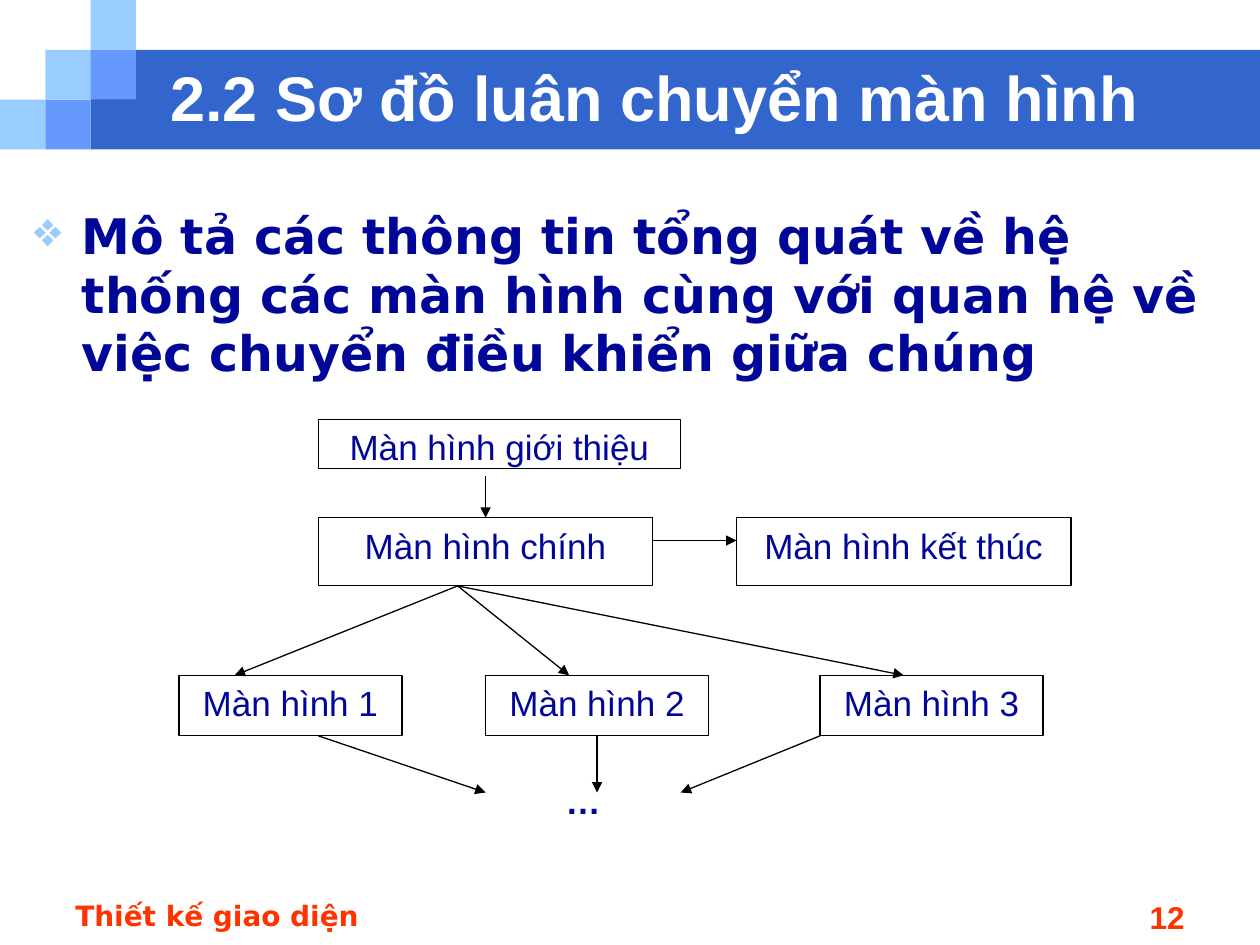
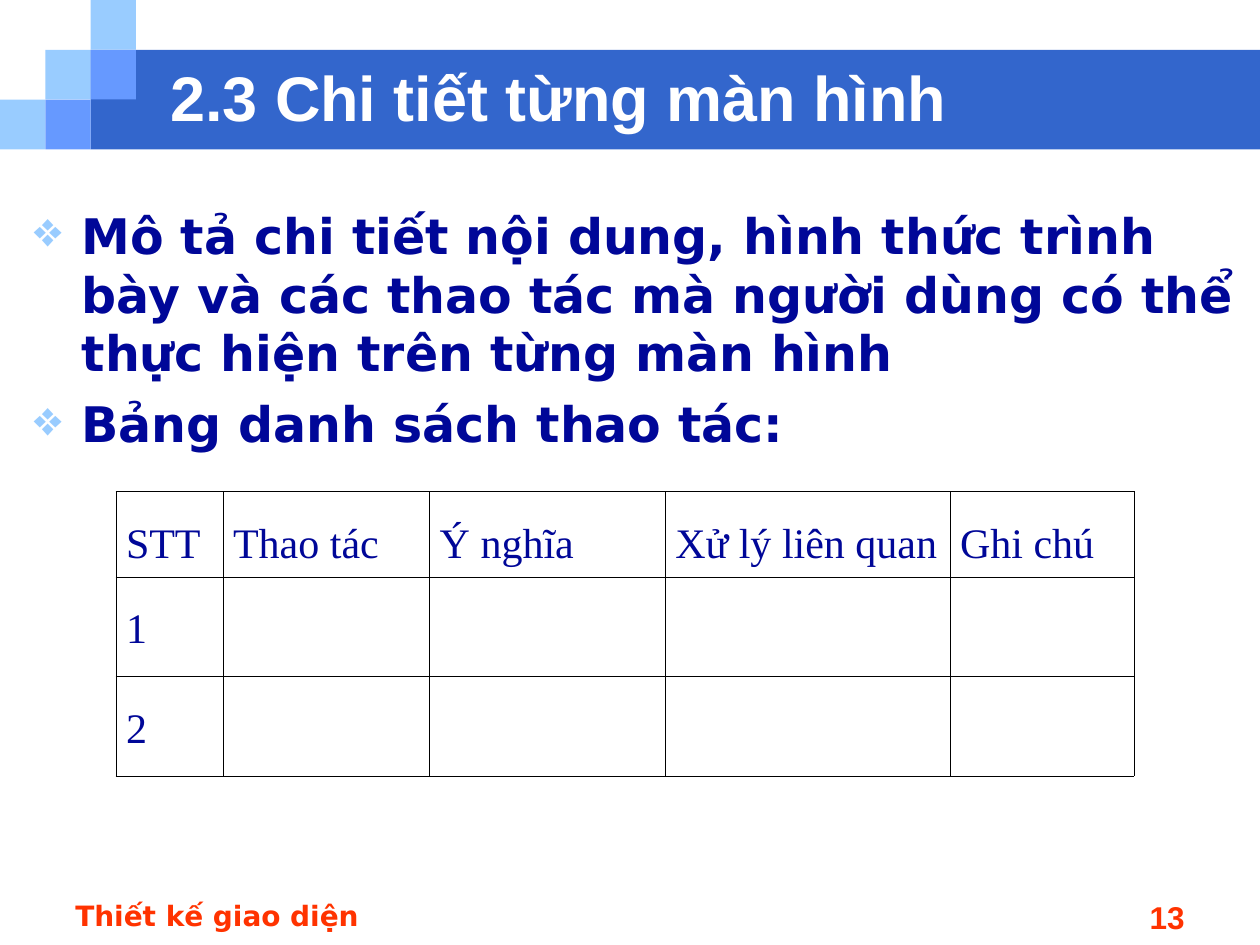
from lxml import etree
from pptx import Presentation
from pptx.dml.color import RGBColor
from pptx.enum.shapes import MSO_CONNECTOR, MSO_SHAPE
from pptx.enum.text import MSO_ANCHOR, MSO_AUTO_SIZE, PP_ALIGN
from pptx.oxml.ns import qn
from pptx.util import Inches, Pt

RECTANGLE, STRAIGHT = MSO_SHAPE.RECTANGLE, MSO_CONNECTOR.STRAIGHT
TOP, MIDDLE = MSO_ANCHOR.TOP, MSO_ANCHOR.MIDDLE
LEFT, CENTER, RIGHT, JUSTIFY = PP_ALIGN.LEFT, PP_ALIGN.CENTER, PP_ALIGN.RIGHT, PP_ALIGN.JUSTIFY
NO_AUTOFIT = MSO_AUTO_SIZE.NONE

COLORS = {
    "white": "FFFFFF", "black": "000000", "band": "3366CC", "light": "99CCFF",
    "overlap": "6699FF", "text": "000798", "footer": "FF3300",
}
HEADING_FONT, BODY_FONT, TABLE_FONT = "Arial", "DejaVu Sans", "Times New Roman"
WIDTH, HEIGHT = 10, 7.5

FOOTER = "Thiết kế giao diện"
FIRST_NUMBER = 12
SCREEN_FLOW = {
    "title": "2.2 Sơ đồ luân chuyển màn hình",
    "bullets": ["Mô tả các thông tin tổng quát về hệ thống các màn hình "
                "cùng với quan hệ về việc chuyển điều khiển giữa chúng"],
}
SCREEN_DETAIL = {
    "title": "2.3 Chi tiết từng màn hình",
    "bullets": ["Mô tả chi tiết nội dung, hình thức trình bày và các thao tác "
                "mà người dùng có thể thực hiện trên từng màn hình",
                "Bảng danh sách thao tác:"],
}

# Header squares: column, row, colour
SQUARE_WIDTH, SQUARE_HEIGHT = 0.36, 0.395
SQUARES = [(0, 2, "light"), (1, 1, "light"), (2, 0, "light"),
           (2, 1, "overlap"), (1, 2, "overlap")]

# Flow diagram: horizontal places are grid columns, vertical ones inches
FLOW_LEFT, FLOW_COLUMN = 1.42, 7.08 / 32
INTRO_TOP, INTRO_HEIGHT = 3.33, 0.39
MAIN_TOP, MAIN_HEIGHT = 4.11, 0.54
CHILD_TOP, CHILD_HEIGHT = 5.36, 0.48
MAIN_BOTTOM, CHILD_BOTTOM, MORE_TOP = MAIN_TOP + MAIN_HEIGHT, CHILD_TOP + CHILD_HEIGHT, 6.29
SCREENS = [  # text, column, columns wide, top, height
    ("Màn hình giới thiệu", 5, 13, INTRO_TOP, INTRO_HEIGHT),
    ("Màn hình chính", 5, 12, MAIN_TOP, MAIN_HEIGHT),
    ("Màn hình kết thúc", 20, 12, MAIN_TOP, MAIN_HEIGHT),
    ("Màn hình 1", 0, 8, CHILD_TOP, CHILD_HEIGHT),
    ("Màn hình 2", 11, 8, CHILD_TOP, CHILD_HEIGHT),
    ("Màn hình 3", 23, 8, CHILD_TOP, CHILD_HEIGHT),
]
ARROWS = [  # start column, start height, end column, end height
    (11, 3.78, 11, MAIN_TOP),
    (17, 4.29, 20, 4.29),
    *[(10, MAIN_BOTTOM, column, CHILD_TOP) for column in (2, 14, 26)],
    (5, CHILD_BOTTOM, 11, MORE_TOP),
    (15, CHILD_BOTTOM, 15, MORE_TOP),
    (23, CHILD_BOTTOM, 18, MORE_TOP),
]

TABLE_ROWS = [["STT", "Thao tác", "Ý nghĩa", "Xử lý liên quan", "Ghi chú"], ["1"], ["2"]]
COLUMN_WIDTHS = [0.85, 1.64, 1.87, 2.26, 1.46]
ROW_HEIGHTS = [0.68, 0.79, 0.79]


def rgb(name):
    return RGBColor.from_string(COLORS[name])


def inches(*lengths):
    return [Inches(length) for length in lengths]


def format_paragraph(paragraph, font, size, color, bold=False, align=LEFT):
    paragraph.alignment = align
    paragraph.font.name = font
    paragraph.font.size = Pt(size)
    paragraph.font.bold = bold
    paragraph.font.color.rgb = rgb(color)


def prepare_frame(frame, anchor=TOP):
    frame.word_wrap = True
    frame.auto_size = NO_AUTOFIT
    frame.vertical_anchor = anchor


def add_text(slide, text, box, *style, **options):
    frame = slide.shapes.add_textbox(*inches(*box)).text_frame
    prepare_frame(frame)
    frame.text = text
    format_paragraph(frame.paragraphs[0], *style, **options)


def add_rectangle(slide, box, fill, line=None):
    shape = slide.shapes.add_shape(RECTANGLE, *inches(*box))
    shape.shadow.inherit = False
    shape.fill.solid()
    shape.fill.fore_color.rgb = rgb(fill)
    if line:
        shape.line.color.rgb = rgb(line)
        shape.line.width = Pt(0.75)
    else:
        shape.line.fill.background()
    return shape


def add_arrow(slide, start, end):
    arrow = slide.shapes.add_connector(STRAIGHT, *inches(*start, *end))
    arrow.line.color.rgb = rgb("black")
    arrow.line.width = Pt(0.75)
    properties = arrow.element.spPr
    etree.SubElement(properties.find(qn("a:ln")), qn("a:tailEnd"), type="triangle")
    etree.SubElement(properties, qn("a:effectLst"))


def add_bullet(paragraph):
    properties = paragraph._p.get_or_add_pPr()
    indent = Inches(0.38)
    properties.set("marL", str(indent))
    properties.set("indent", str(-indent))
    color = etree.SubElement(properties, qn("a:buClr"))
    etree.SubElement(color, qn("a:srgbClr"), val=COLORS["light"])
    etree.SubElement(properties, qn("a:buChar"), char="❖")


def add_bullets(slide, bullets):
    frame = slide.shapes.add_textbox(*inches(0.17, 1.58, 9.71, 5.17)).text_frame
    prepare_frame(frame)
    for index, text in enumerate(bullets):
        paragraph = frame.add_paragraph() if index else frame.paragraphs[0]
        paragraph.text = text
        add_bullet(paragraph)
        if index:
            paragraph.space_before = Pt(7)
        format_paragraph(paragraph, BODY_FONT, 28, "text", bold=True)


def add_base_slide(presentation, content, number):
    """Add a slide with the header, title, bullets and footer that all share."""
    slide = presentation.slides.add_slide(presentation.slide_layouts[5])
    band_left = 2 * SQUARE_WIDTH
    add_rectangle(slide, (band_left, SQUARE_HEIGHT, WIDTH - band_left, 2 * SQUARE_HEIGHT), "band")
    for column, row, color in SQUARES:
        add_rectangle(slide, (column * SQUARE_WIDTH, row * SQUARE_HEIGHT,
                              SQUARE_WIDTH, SQUARE_HEIGHT), color)

    title = slide.shapes.title
    title.element.getparent().append(title.element)  # bring in front of the band
    title.left, title.top, title.width, title.height = inches(1.25, 0.5, 8.08, 0.53)
    prepare_frame(title.text_frame, MIDDLE)
    title.text_frame.text = content["title"]
    format_paragraph(title.text_frame.paragraphs[0], HEADING_FONT, 36, "white", bold=True)

    add_bullets(slide, content["bullets"])
    add_text(slide, str(number), (7.17, 7.08, 2.33, 0.35),
             HEADING_FONT, 18, "footer", bold=True, align=RIGHT)
    add_text(slide, FOOTER, (0.5, 7.08, 3.17, 0.35), BODY_FONT, 16, "footer", bold=True)
    return slide


def flow_x(column):
    return FLOW_LEFT + column * FLOW_COLUMN


def add_flow(slide):
    for text, column, span, top, height in SCREENS:
        screen = add_rectangle(slide, (flow_x(column), top, span * FLOW_COLUMN, height),
                               "white", "black")
        prepare_frame(screen.text_frame)
        screen.text_frame.text = text
        format_paragraph(screen.text_frame.paragraphs[0], HEADING_FONT, 20, "text", align=CENTER)
    add_text(slide, "…", (flow_x(8), 6.14, 13 * FLOW_COLUMN, 0.44),
             HEADING_FONT, 20, "text", bold=True, align=CENTER)
    for start_column, start_y, end_column, end_y in ARROWS:
        add_arrow(slide, (flow_x(start_column), start_y), (flow_x(end_column), end_y))


def format_cell(cell):
    cell.margin_left = cell.margin_right = Inches(0.08)
    properties = cell._tc.get_or_add_tcPr()
    for side in ("lnL", "lnR", "lnT", "lnB"):
        border = etree.SubElement(properties, qn(f"a:{side}"), w=str(Pt(0.45)))
        fill = etree.SubElement(border, qn("a:solidFill"))
        etree.SubElement(fill, qn("a:srgbClr"), val=COLORS["black"])
    cell.fill.background()


def add_action_table(slide):
    table = slide.shapes.add_table(
        len(ROW_HEIGHTS), len(COLUMN_WIDTHS),
        *inches(0.92, 3.9, sum(COLUMN_WIDTHS), sum(ROW_HEIGHTS))).table
    table.first_row = table.horz_banding = False
    for column, width in zip(table.columns, COLUMN_WIDTHS):
        column.width = Inches(width)
    for row, height in zip(table.rows, ROW_HEIGHTS):
        row.height = Inches(height)
    for cell in table.iter_cells():
        format_cell(cell)
    for row_index, texts in enumerate(TABLE_ROWS):
        for column_index, text in enumerate(texts):
            cell = table.cell(row_index, column_index)
            cell.text = text
            paragraph = cell.text_frame.paragraphs[0]
            paragraph.line_spacing = 1.5
            format_paragraph(paragraph, TABLE_FONT, 24, "text", align=JUSTIFY)


def main():
    presentation = Presentation()
    presentation.slide_width, presentation.slide_height = inches(WIDTH, HEIGHT)
    add_flow(add_base_slide(presentation, SCREEN_FLOW, FIRST_NUMBER))
    add_action_table(add_base_slide(presentation, SCREEN_DETAIL, FIRST_NUMBER + 1))
    presentation.save("out.pptx")


if __name__ == "__main__":
    main()
